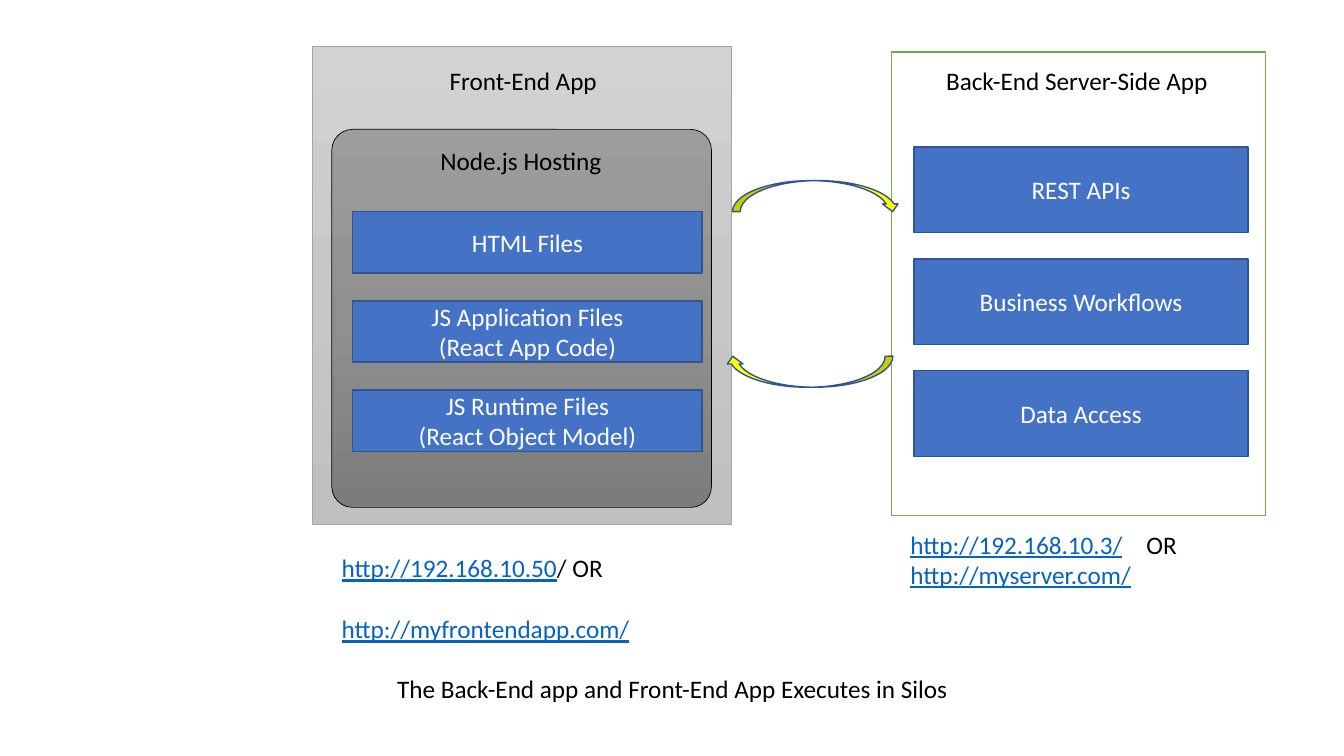
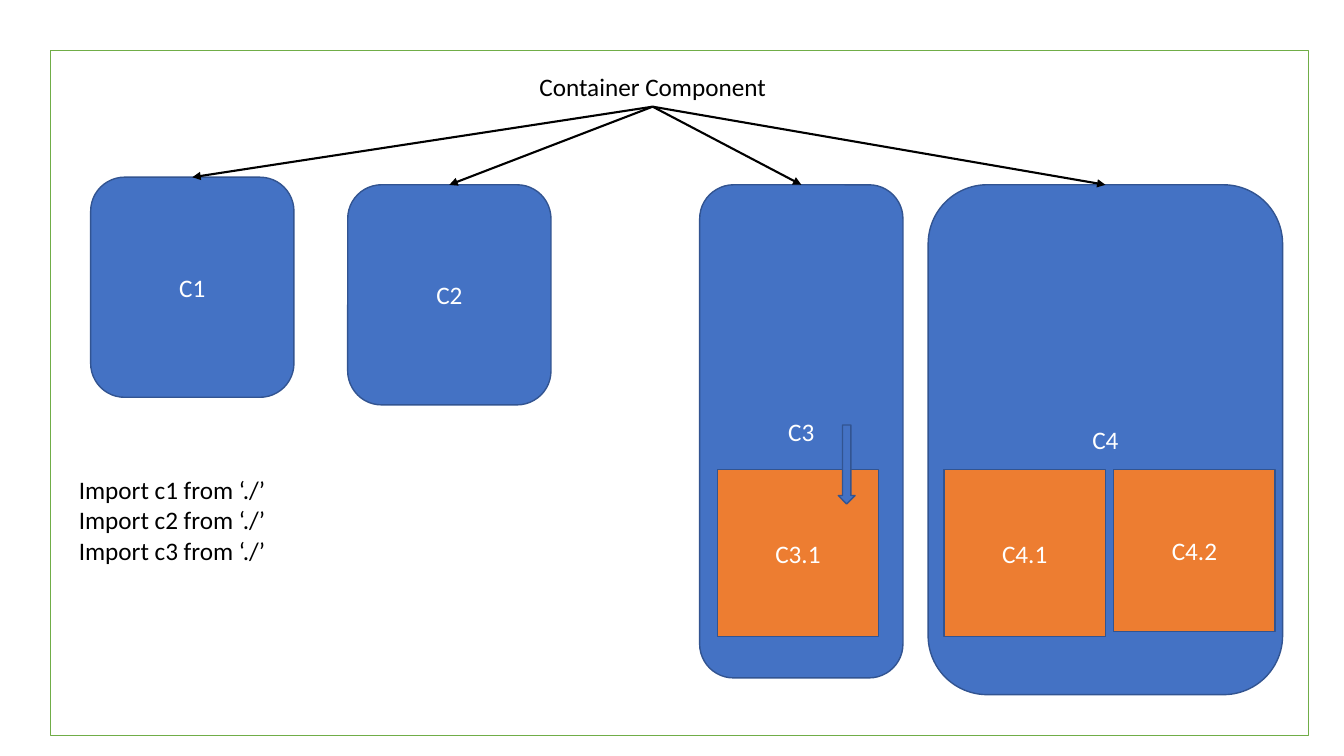
from copy import deepcopy
from dataclasses import dataclass
from typing import NamedTuple, Sequence

from lxml.etree import SubElement
from pptx import Presentation
from pptx.dml.color import RGBColor
from pptx.enum.shapes import MSO_CONNECTOR as Link, MSO_SHAPE as Kind
from pptx.enum.text import MSO_ANCHOR as Anchor, MSO_AUTO_SIZE as Fit, PP_ALIGN as Align
from pptx.oxml.ns import qn
from pptx.shapes.autoshape import Shape
from pptx.shapes.connector import Connector
from pptx.slide import Slide
from pptx.text.text import TextFrame
from pptx.util import Emu, Inches, Pt

COLUMNS, ROWS = 160, 90
WIDTH, HEIGHT = Inches(40 / 3), Inches(7.5)
FONT, TEXT_SIZE = "Calibri", 18
LABEL_ROWS = 4.8
LINE_HEIGHT = 22
BLACK, WHITE = "000000", "FFFFFF"
BLUE, NAVY, ORANGE = "4472C4", "325491", "ED7D31"
GREEN, YELLOW, URL_BLUE = "70AD47", "FFFF00", "0563C1"
LIGHT_GREYS = ("D2D2D2", "C8C8C8", "C0C0C0")
DARK_GREYS = ("9D9D9D", "909090", "7C7C7C")


class Box(NamedTuple):
    column: float
    row: float
    columns: float
    rows: float

    def down(self, rows: float) -> "Box":
        return self._replace(row=self.row + rows)


@dataclass(frozen=True)
class Panel:
    box: Box
    fill: str | tuple[str, ...] = BLUE
    text: str = ""
    kind: Kind = Kind.RECTANGLE
    line: str = NAVY
    line_width: float = 1
    corner: float | None = None
    rotation: float = 0


@dataclass(frozen=True)
class Label:
    box: Box
    text: str
    align: Align = Align.CENTER


class Address(NamedTuple):
    url: str
    tail: str = ""
    space_before: float = 0
    tab: float = 0


def across(columns: float) -> Emu:
    return Emu(round(WIDTH * columns / COLUMNS))


def along(rows: float) -> Emu:
    return Emu(round(HEIGHT * rows / ROWS))


def place(box: Box) -> tuple[Emu, Emu, Emu, Emu]:
    return across(box.column), along(box.row), across(box.columns), along(box.rows)


def colour(code: str) -> RGBColor:
    return RGBColor.from_string(code)


def style(frame: TextFrame, code: str, align: Align) -> None:
    for paragraph in frame.paragraphs:
        paragraph.alignment = align
        for run in paragraph.runs:
            run.font.name = FONT
            run.font.size = Pt(TEXT_SIZE)
            run.font.color.rgb = colour(code)


def shade(shape: Shape, codes: Sequence[str]) -> None:
    shape.fill.gradient()
    shape.fill.gradient_angle = 270
    stops = shape._element.spPr.find(f".//{qn('a:gsLst')}")
    while len(stops) < len(codes):
        stops.insert(1, deepcopy(stops[0]))
    for index, (stop, code) in enumerate(zip(shape.fill.gradient_stops, codes)):
        stop.color.rgb = colour(code)
        stop.position = index / (len(codes) - 1)


def draw_panel(slide: Slide, panel: Panel) -> Shape:
    shape = slide.shapes.add_shape(panel.kind, *place(panel.box))
    shape.shadow.inherit = False
    shape.rotation = panel.rotation
    if panel.corner is not None:
        shape.adjustments[0] = panel.corner
    if isinstance(panel.fill, str):
        shape.fill.solid()
        shape.fill.fore_color.rgb = colour(panel.fill)
    else:
        shade(shape, panel.fill)
    shape.line.color.rgb = colour(panel.line)
    shape.line.width = Pt(panel.line_width)
    if panel.text:
        shape.text_frame.text = panel.text
        shape.text_frame.vertical_anchor = Anchor.MIDDLE
        style(shape.text_frame, WHITE, Align.CENTER)
    return shape


def draw_label(slide: Slide, label: Label) -> Shape:
    shape = slide.shapes.add_textbox(*place(label.box))
    frame = shape.text_frame
    frame.word_wrap = True
    frame.auto_size = Fit.SHAPE_TO_FIT_TEXT
    frame.text = label.text
    style(frame, BLACK, label.align)
    return shape


def draw_addresses(slide: Slide, box: Box, addresses: Sequence[Address]) -> None:
    urls = "\n".join(address.url for address in addresses)
    frame = draw_label(slide, Label(box, urls, Align.LEFT)).text_frame
    style(frame, URL_BLUE, Align.LEFT)
    for paragraph, address in zip(frame.paragraphs, addresses):
        paragraph.space_before = Pt(address.space_before)
        paragraph.runs[0].font.underline = True
        if address.tab:
            tabs = SubElement(paragraph._p.get_or_add_pPr(), qn("a:tabLst"))
            SubElement(tabs, qn("a:tab"), pos=str(across(address.tab)), algn="l")
        if address.tail:
            tail = paragraph.add_run()
            tail.text = address.tail
            tail.font.name = FONT
            tail.font.size = Pt(TEXT_SIZE)
            tail.font.color.rgb = colour(BLACK)


def draw_arrow(slide: Slide, parent: Shape, child: Shape) -> Connector:
    arrow = slide.shapes.add_connector(Link.STRAIGHT, 0, 0, 0, 0)
    arrow.begin_connect(parent, 2)
    arrow.end_connect(child, 0)
    arrow.line.color.rgb = colour(BLACK)
    arrow.line.width = Pt(1.5)
    SubElement(arrow.line._get_or_add_ln(), qn("a:tailEnd"), type="triangle")
    SubElement(arrow._element.spPr, qn("a:effectLst"))
    return arrow


def draw_stack(slide: Slide, first: Box, step: float, names: Sequence[str]) -> None:
    for index, name in enumerate(names):
        draw_panel(slide, Panel(first.down(index * step), text=name))


def build_silos(slide: Slide) -> None:
    draw_panel(slide, Panel(Box(106.1, 6.2, 44.6, 55.2), WHITE, line=GREEN))
    draw_label(slide, Label(Box(108.6, 7.2, 39.2, LABEL_ROWS), "Back-End Server-Side App"))
    draw_stack(slide, Box(108.8, 17.5, 39.8, 10.2), 13.32,
               ("REST APIs", "Business Workflows", "Data Access"))
    draw_addresses(slide, Box(107.2, 62.4, 41.5, 12.1), (
        Address("http://192.168.10.3/", "\tOR", tab=28.1),
        Address("http://myserver.com/"),
    ))

    draw_panel(slide, Panel(Box(37.2, 5.5, 49.9, 56.9), LIGHT_GREYS,
                            line="A5A5A5", line_width=0.5))
    draw_label(slide, Label(Box(41, 7.2, 42.6, LABEL_ROWS), "Front-End App"))
    draw_panel(slide, Panel(Box(39.5, 15.4, 45.2, 45), DARK_GREYS, kind=Kind.ROUNDED_RECTANGLE,
                            line=BLACK, line_width=0.5, corner=0.055))
    draw_label(slide, Label(Box(42, 16.7, 40, LABEL_ROWS), "Node.js Hosting"))
    draw_stack(slide, Box(42, 25.2, 41.6, 7.3), 10.62,
               ("HTML Files", "JS Application Files\n(React App Code)",
                "JS Runtime Files\n(React Object Model)"))
    draw_addresses(slide, Box(39.5, 65.2, 45.2, 15.7), (
        Address("http://192.168.10.50", "/ OR"),
        Address("http://myfrontendapp.com/", space_before=LINE_HEIGHT),
    ))

    request = Box(87.2, 21.5, 20, 3.7)
    response = request._replace(column=86.3, row=42.4)
    for exchange, rotation in ((request, 0), (response, 180)):
        draw_panel(slide, Panel(exchange, YELLOW, kind=Kind.CURVED_DOWN_ARROW, rotation=rotation))
    draw_label(slide, Label(Box(5, 79.6, 150.1, LABEL_ROWS),
                            "The Back-End app and Front-End App Executes in Silos"))


def build_components(slide: Slide) -> None:
    draw_panel(slide, Panel(Box(6, 6, 149.8, 81.6), WHITE, line=GREEN))
    container = draw_label(slide, Label(Box(52.2, 7.9, 51, LABEL_ROWS), "Container Component"))
    components = [
        draw_panel(slide, Panel(box, text=f"C{number}", kind=Kind.ROUNDED_RECTANGLE))
        for number, box in enumerate((
            Box(10.8, 21.1, 24.2, 26.2),
            Box(41.4, 22, 24.2, 26.2),
            Box(83.3, 22, 24.2, 58.7),
            Box(110.5, 22, 42.2, 60.7),
        ), start=1)
    ]
    for name, column, rows in (("C3.1", 85.4, 19.9), ("C4.1", 112.4, 19.9), ("C4.2", 132.6, 19.3)):
        draw_panel(slide, Panel(Box(column, 55.9, 19.2, rows), ORANGE, name))
    draw_panel(slide, Panel(Box(99.8, 50.6, 2, 9.4), kind=Kind.DOWN_ARROW))
    for component in components:
        draw_arrow(slide, container, component)
    imports = "\n".join(f"Import c{number} from ‘./’" for number in range(1, 4))
    draw_label(slide, Label(Box(8.2, 55.9, 67.1, 12.1), imports, Align.LEFT))


def main() -> None:
    deck = Presentation()
    deck.slide_width, deck.slide_height = WIDTH, HEIGHT
    blank = deck.slide_layouts[6]
    for build in (build_silos, build_components):
        build(deck.slides.add_slide(blank))
    deck.save("out.pptx")


main()
